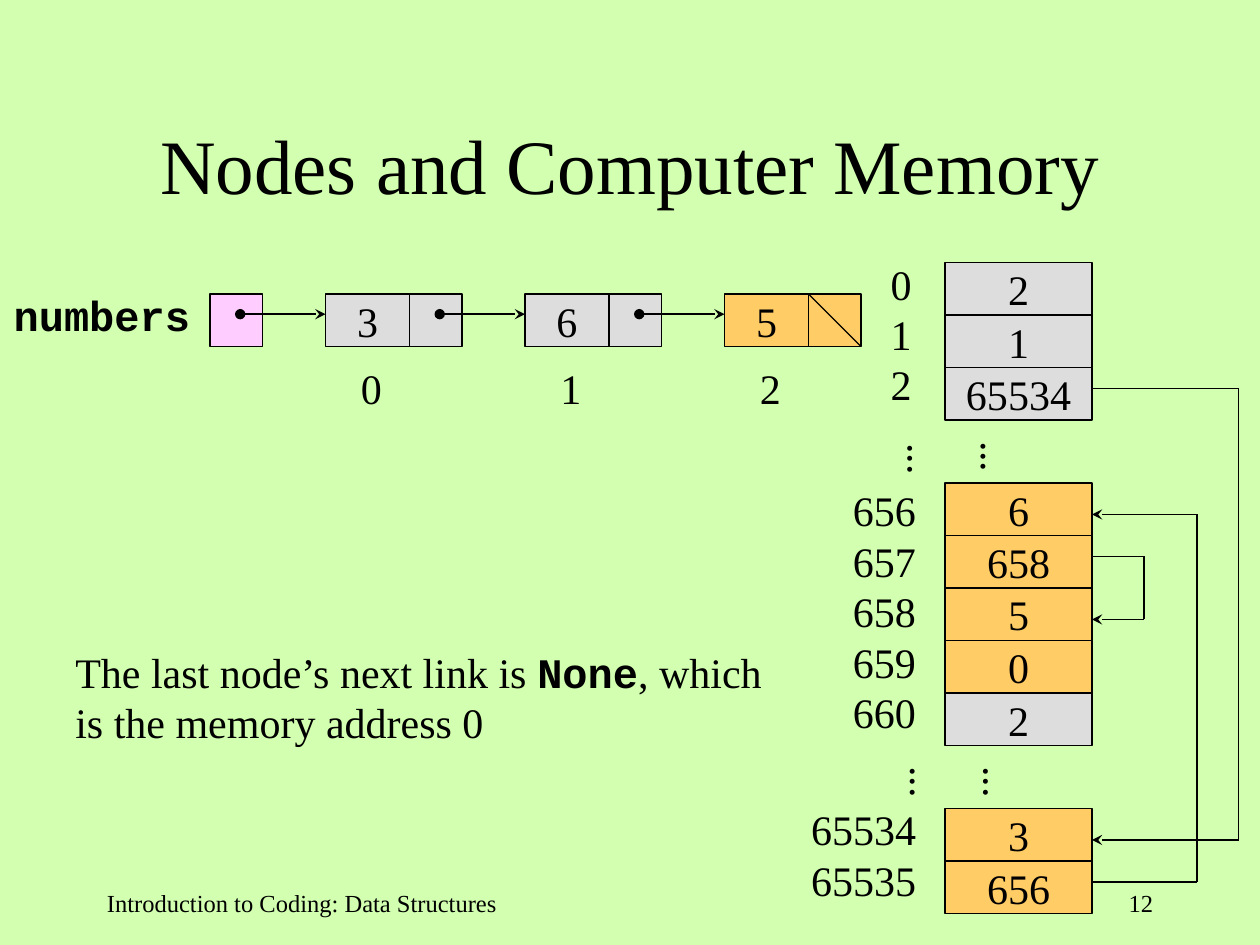
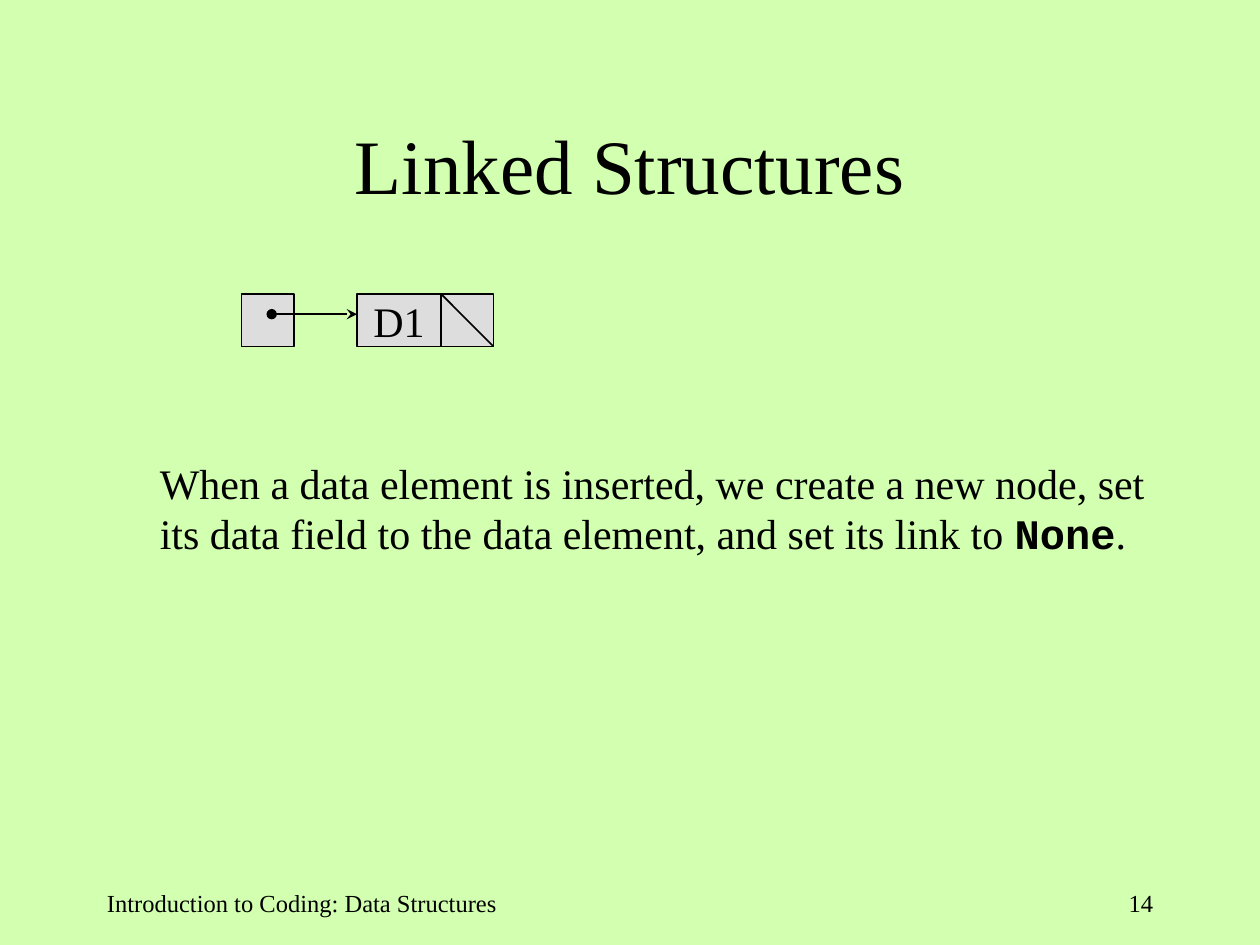
"""Build two slides about linked nodes and how they lie in computer memory."""
from dataclasses import dataclass

from pptx import Presentation
from pptx.dml.color import RGBColor
from pptx.enum.shapes import MSO_CONNECTOR, MSO_SHAPE
from pptx.enum.text import MSO_ANCHOR, PP_ALIGN
from pptx.oxml.ns import qn
from pptx.oxml.xmlchemy import OxmlElement
from pptx.presentation import Presentation as Deck
from pptx.slide import Slide
from pptx.text.text import TextFrame
from pptx.util import Inches, Pt

LEFT, CENTER, RIGHT = PP_ALIGN.LEFT, PP_ALIGN.CENTER, PP_ALIGN.RIGHT
TOP, MIDDLE = MSO_ANCHOR.TOP, MSO_ANCHOR.MIDDLE
RECTANGLE, STRAIGHT = MSO_SHAPE.RECTANGLE, MSO_CONNECTOR.STRAIGHT

GREEN = RGBColor(0xD2, 0xFF, 0xB0)
GRAY = RGBColor(0xDD, 0xDD, 0xDD)
ORANGE = RGBColor(0xFF, 0xCC, 0x66)
PINK = RGBColor(0xFF, 0xCC, 0xFF)
BLACK = RGBColor(0, 0, 0)

SERIF, MONO = "Times New Roman", "Courier New"
FOOTER = "Introduction to Coding: Data Structures"

CELL = 5 / 12
DATA_WIDTH = 8 / 12
NODE_GAP = 6 / 12
NODE_PITCH = DATA_WIDTH + CELL + NODE_GAP
NODE_TOP = 28 / 12
LINK_DOT_X, LINK_DOT_Y = 0.24, 0.16

MEMORY_LEFT, MEMORY_WIDTH = 7.5, 14 / 12
MEMORY_RIGHT = MEMORY_LEFT + MEMORY_WIDTH
LINK_OUT, LINK_IN = 2 / 12, 3 / 12


@dataclass(frozen=True)
class Box:
    """Place and size in inches."""

    left: float
    top: float
    width: float
    height: float

    def lengths(self) -> tuple[Inches, ...]:
        """Return the four lengths for python-pptx."""
        return tuple(Inches(value) for value in (self.left, self.top, self.width, self.height))


@dataclass(frozen=True)
class Node:
    """A data field with its link cell."""

    data: str
    color: RGBColor


@dataclass(frozen=True)
class MemoryBlock:
    """A run of memory cells with the box that lists their addresses."""

    first_address: int
    top: float
    cells: tuple[tuple[str, RGBColor], ...]
    address_box: Box


@dataclass(frozen=True)
class MemoryLink:
    """A path from one memory cell to another, out to a vertical line."""

    source: int
    target: int
    turn: float


NODES = (Node("3", GRAY), Node("6", GRAY), Node("5", ORANGE))
MEMORY_BLOCKS = (
    MemoryBlock(0, 25 / 12, (("2", GRAY), ("1", GRAY), ("65534", GRAY)),
                Box(6.97, 2, 0.36, 1.3)),
    MemoryBlock(656, 46 / 12,
                (("6", ORANGE), ("658", ORANGE), ("5", ORANGE), ("0", ORANGE), ("2", GRAY)),
                Box(6.67, 3.8, 0.7, 2.1)),
    MemoryBlock(65534, 77 / 12, (("3", ORANGE), ("656", ORANGE)),
                Box(6.34, 6.33, 1.03, 0.9)),
)
MEMORY_LINKS = (
    MemoryLink(2, 65534, 9.83),
    MemoryLink(65535, 656, 9.5),
    MemoryLink(657, 658, 9.08),
)
ELLIPSIS_CORNERS = ((7.57, 3.4), (7.59, 5.98), (6.99, 3.42), (7.01, 5.98))


def write_text(frame: TextFrame, text: str, *, size: float = 24, align: PP_ALIGN = LEFT,
               anchor: MSO_ANCHOR = TOP, wrap: bool = True) -> None:
    """Write lines as paragraphs; words between backticks are bold code."""
    frame.word_wrap = wrap
    frame.vertical_anchor = anchor
    for index, line in enumerate(text.split("\n")):
        paragraph = frame.paragraphs[0] if index == 0 else frame.add_paragraph()
        paragraph.alignment = align
        paragraph.line_spacing = Pt(1.2 * size)
        for position, part in enumerate(line.split("`")):
            if part:
                is_code = position % 2 == 1
                run = paragraph.add_run()
                run.text = part
                run.font.name = MONO if is_code else SERIF
                run.font.bold = is_code
                run.font.size = Pt(size)
                run.font.color.rgb = BLACK


def add_text(slide: Slide, box: Box, text: str, **text_format) -> TextFrame:
    """Add a text box and return its frame."""
    frame = slide.shapes.add_textbox(*box.lengths()).text_frame
    write_text(frame, text, **text_format)
    return frame


def add_cell(slide: Slide, box: Box, color: RGBColor, text: str = "") -> None:
    """Add an outlined rectangle with centred text."""
    shape = slide.shapes.add_shape(RECTANGLE, *box.lengths())
    shape.shadow.inherit = False
    shape.fill.solid()
    shape.fill.fore_color.rgb = color
    shape.line.color.rgb = BLACK
    shape.line.width = Pt(0.75)
    if text:
        write_text(shape.text_frame, text, align=CENTER, anchor=MIDDLE, wrap=False)


def add_line(slide: Slide, start: tuple[float, float], end: tuple[float, float], *,
             head: str = "", tail: str = "", width: float = 1) -> None:
    """Add a straight line with optional ends."""
    connector = slide.shapes.add_connector(
        STRAIGHT, *(Inches(value) for value in (*start, *end)))
    connector.line.color.rgb = BLACK
    connector.line.width = Pt(width)
    properties = connector._element.spPr
    outline = properties.find(qn("a:ln"))
    for tag, kind in (("a:headEnd", head), ("a:tailEnd", tail)):
        if kind:
            line_end = OxmlElement(tag)
            line_end.set("type", kind)
            outline.append(line_end)
    properties.append(OxmlElement("a:effectLst"))


def add_link_arrow(slide: Slide, cell_left: float) -> None:
    """Point from inside a link cell to the next node."""
    y = NODE_TOP + LINK_DOT_Y
    add_line(slide, (cell_left + LINK_DOT_X, y), (cell_left + CELL + NODE_GAP, y),
             head="oval", tail="stealth")


def add_linked_list(slide: Slide, left: float, color: RGBColor, nodes: tuple[Node, ...],
                    slash_width: float) -> float:
    """Draw a variable cell and its nodes; return the left of the first node."""
    add_cell(slide, Box(left, NODE_TOP, CELL, CELL), color)
    add_link_arrow(slide, left)
    first_left = left + CELL + NODE_GAP
    for index, node in enumerate(nodes):
        node_left = first_left + index * NODE_PITCH
        link_left = node_left + DATA_WIDTH
        add_cell(slide, Box(link_left, NODE_TOP, CELL, CELL), node.color)
        add_cell(slide, Box(node_left, NODE_TOP, DATA_WIDTH, CELL), node.color, node.data)
        if index < len(nodes) - 1:
            add_link_arrow(slide, link_left)
        else:
            add_line(slide, (link_left, NODE_TOP), (link_left + CELL, NODE_TOP + CELL),
                     width=slash_width)
    return first_left


def add_memory(slide: Slide) -> None:
    """Draw the memory cells, their addresses and the links between them."""
    cell_tops: dict[int, float] = {}
    for block in MEMORY_BLOCKS:
        addresses = range(block.first_address, block.first_address + len(block.cells))
        for index, (address, (value, color)) in enumerate(zip(addresses, block.cells)):
            cell_tops[address] = block.top + index * CELL
            add_cell(slide, Box(MEMORY_LEFT, cell_tops[address], MEMORY_WIDTH, CELL),
                     color, value)
        add_text(slide, block.address_box, "\n".join(map(str, addresses)), wrap=False)
    for left, top in ELLIPSIS_CORNERS:
        frame = add_text(slide, Box(left, top, 0.6, 0.35), "...", wrap=False)
        frame.margin_left = frame.margin_right = Inches(0.05)
        frame.margin_top = frame.margin_bottom = Inches(0.1)
        frame._txBody.bodyPr.set("vert", "eaVert")
    for link in MEMORY_LINKS:
        start_y = cell_tops[link.source] + LINK_OUT
        end_y = cell_tops[link.target] + LINK_IN
        add_line(slide, (MEMORY_RIGHT, start_y), (link.turn, start_y))
        add_line(slide, (link.turn, start_y), (link.turn, end_y))
        add_line(slide, (link.turn, end_y), (MEMORY_RIGHT, end_y), tail="stealth")


def add_titled_slide(presentation: Deck, title: str, number: int) -> Slide:
    """Add a blank slide with title, footer and number."""
    slide = presentation.slides.add_slide(presentation.slide_layouts[6])
    add_text(slide, Box(0.75, 0.67, 8.5, 1.25), title, size=44, align=CENTER, anchor=MIDDLE)
    add_text(slide, Box(0.75, 7, 3.58, 0.5), FOOTER, size=14)
    add_text(slide, Box(7.17, 7, 2.08, 0.5), str(number), size=14, align=RIGHT)
    return slide


def build_memory_slide(presentation: Deck) -> None:
    """Show a three-node list beside its memory cells."""
    slide = add_titled_slide(presentation, "Nodes and Computer Memory", 12)
    add_memory(slide)
    add_text(slide, Box(0.01, 2.25, 1.6, 0.5), "`numbers`", wrap=False)
    first_left = add_linked_list(slide, 20 / 12, PINK, NODES, 0.75)
    for index in range(len(NODES)):
        add_text(slide, Box(first_left + 0.03 + index * NODE_PITCH, 2.83, DATA_WIDTH, 0.5),
                 str(index), align=CENTER)
    add_text(slide, Box(0.5, 5.08, 5.83, 0.9),
             "The last node’s next link is `None`, which is the memory address 0")


def build_insertion_slide(presentation: Deck) -> None:
    """Show a list with a single new node."""
    slide = add_titled_slide(presentation, "Linked Structures", 14)
    add_linked_list(slide, 23 / 12, GRAY, (Node("D1", GRAY),), 1)
    add_text(slide, Box(1.17, 3.58, 8.33, 0.9),
             "When a data element is inserted, we create a new node, set its data field "
             "to the data element, and set its link to `None`.")


def main() -> None:
    """Build and save the presentation."""
    presentation = Presentation()
    presentation.slide_width = Inches(10)
    presentation.slide_height = Inches(7.5)
    background = presentation.slide_master.background.fill
    background.solid()
    background.fore_color.rgb = GREEN
    build_memory_slide(presentation)
    build_insertion_slide(presentation)
    presentation.save("out.pptx")


if __name__ == "__main__":
    main()
